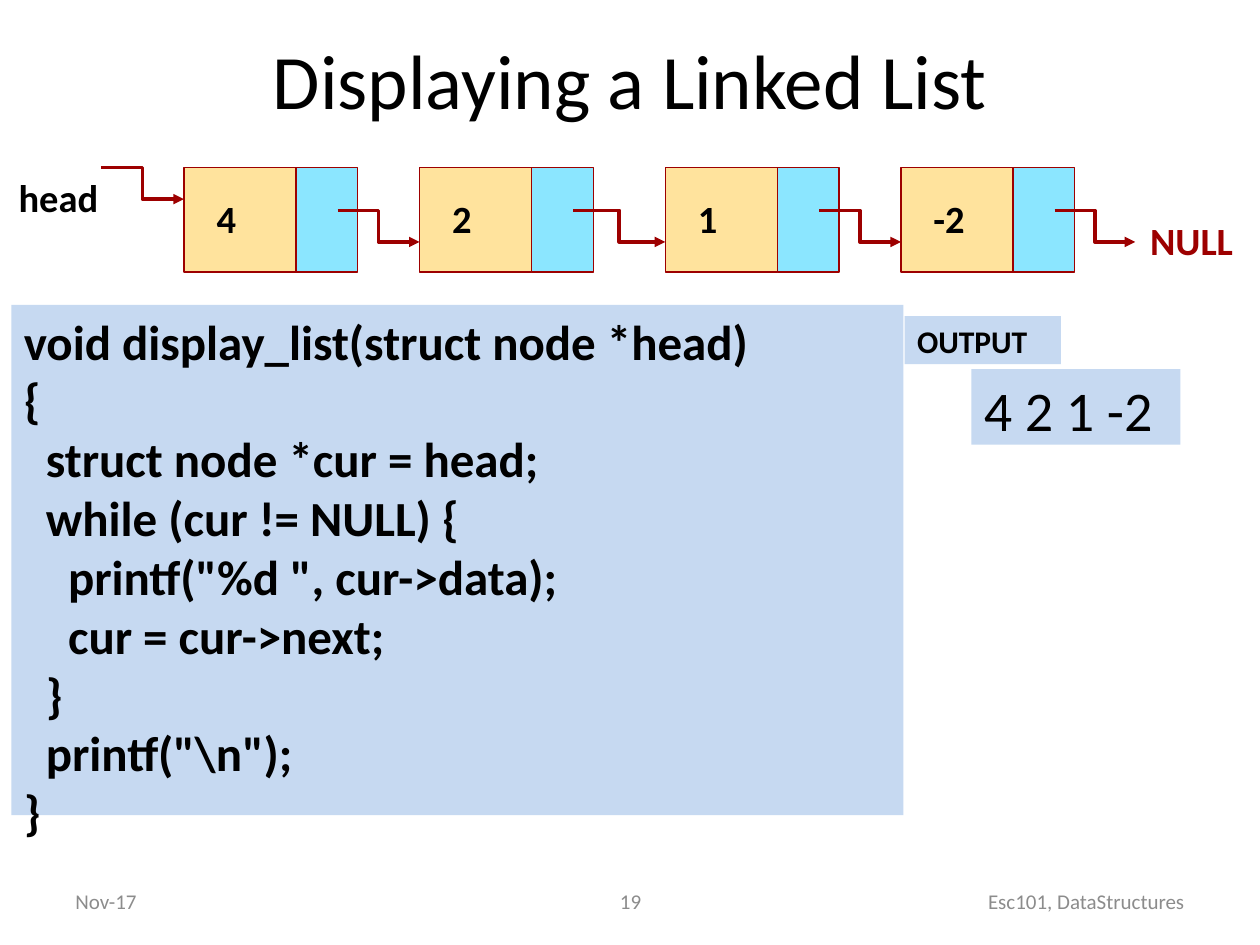
from pptx import Presentation
from pptx.dml.color import RGBColor
from pptx.enum.shapes import MSO_CONNECTOR as Connector, MSO_SHAPE as Shape
from pptx.enum.text import MSO_ANCHOR as Anchor, PP_ALIGN as Align
from pptx.oxml.ns import qn
from pptx.util import Inches, Pt
from lxml import etree

BLACK, RED, GREY = "000000", "9D0000", "8C8C8C"
YELLOW, CYAN, PANEL = "FFE39D", "8BE6FF", "C6D9F1"

CODE = r"""void display_list(struct node *head)
{
  struct node *cur = head;
  while (cur != NULL) {
    printf("%d ", cur->data);
    cur = cur->next;
  }
  printf("\n");
}"""


def color(hex_code):
    return RGBColor.from_string(hex_code)


def write(shape, text, size=22, ink=BLACK, bold=False, align=Align.LEFT,
          anchor=Anchor.TOP, wrap=True):
    """Fill a shape with text, one paragraph per line."""
    frame = shape.text_frame
    frame.word_wrap = wrap
    frame.vertical_anchor = anchor
    for index, line in enumerate(text.split("\n")):
        para = frame.add_paragraph() if index else frame.paragraphs[0]
        para.alignment = align
        span = para.add_run()
        span.text = line
        span.font.name = "Calibri"
        span.font.size = Pt(size)
        span.font.bold = bold
        span.font.color.rgb = color(ink)


class ListSlide:
    """The current slide and the style of its linked-list diagram."""

    cell_top, cell_height = 1.33, 0.83
    data_width, next_width = 0.89, 0.49

    def __init__(self, page):
        self.shapes = page.shapes

    def label(self, left, top, width, height, text, **style):
        box = self.shapes.add_textbox(Inches(left), Inches(top), Inches(width), Inches(height))
        write(box, text, **style)

    def rect(self, left, top, width, height, fill, outline=None):
        box = self.shapes.add_shape(Shape.RECTANGLE, Inches(left), Inches(top),
                                    Inches(width), Inches(height))
        box.shadow.inherit = False
        box.fill.solid()
        box.fill.fore_color.rgb = color(fill)
        if outline:
            box.line.color.rgb = color(outline)
            box.line.width = Pt(0.75)
        else:
            box.line.fill.background()
        return box

    def panel(self, left, top, width, height, text, **style):
        write(self.rect(left, top, width, height, PANEL), text, **style)

    def arrow(self, left, top, right):
        """Draw a bent arrow that steps down a quarter inch."""
        link = self.shapes.add_connector(Connector.ELBOW, Inches(left), Inches(top),
                                         Inches(right), Inches(top + 0.25))
        link.line.color.rgb = color(RED)
        link.line.width = Pt(2)
        etree.SubElement(link.line._get_or_add_ln(), qn("a:tailEnd"), type="triangle")
        etree.SubElement(link._element.spPr, qn("a:effectLst"))

    def node(self, left, value, target):
        """Draw a data cell, a pointer cell and the arrow to the target."""
        pointer = left + self.data_width
        self.rect(left, self.cell_top, self.data_width, self.cell_height, YELLOW, RED)
        self.rect(pointer, self.cell_top, self.next_width, self.cell_height, CYAN, RED)
        self.label(left + 0.16, 1.5, 0.45 if len(value) > 1 else 0.35, 0.45, value,
                   bold=True, wrap=False)
        self.arrow(pointer + 0.33, 1.67, target)


def main():
    deck = Presentation()
    deck.slide_width, deck.slide_height = Inches(10), Inches(7.5)
    slide = ListSlide(deck.slides.add_slide(deck.slide_layouts[6]))

    slide.label(0.5, 0, 9, 1.25, "Displaying a Linked List", size=44,
                align=Align.CENTER, anchor=Anchor.MIDDLE)
    slide.panel(0.09, 2.42, 7.08, 4.05, CODE, size=28, bold=True)

    stops = [1.46, 3.33, 5.28, 7.15, 9.01]
    for left, target, value in zip(stops, stops[1:], ["4", "2", "1", "-2"]):
        slide.node(left, value, target)
    slide.label(9.03, 1.67, 0.86, 0.45, "NULL", ink=RED, bold=True, wrap=False)
    slide.label(0.05, 1.33, 0.84, 0.45, "head", bold=True, wrap=False)
    slide.arrow(0.8, slide.cell_top, stops[0])

    slide.panel(7.18, 2.51, 1.24, 0.38, "OUTPUT", size=18, bold=True, wrap=False)
    slide.panel(7.71, 2.93, 1.66, 0.6, "4 2 1 -2", size=32, wrap=False)

    for left, width, text, align in [
        (0.5, 2.33, "Nov-17", Align.LEFT),
        (7.17, 2.33, "Esc101, DataStructures", Align.RIGHT),
        (3.42, 3.17, "19", Align.CENTER),
    ]:
        slide.label(left, 6.95, width, 0.4, text, size=12, ink=GREY,
                    align=align, anchor=Anchor.MIDDLE)

    deck.save("out.pptx")


if __name__ == "__main__":
    main()
